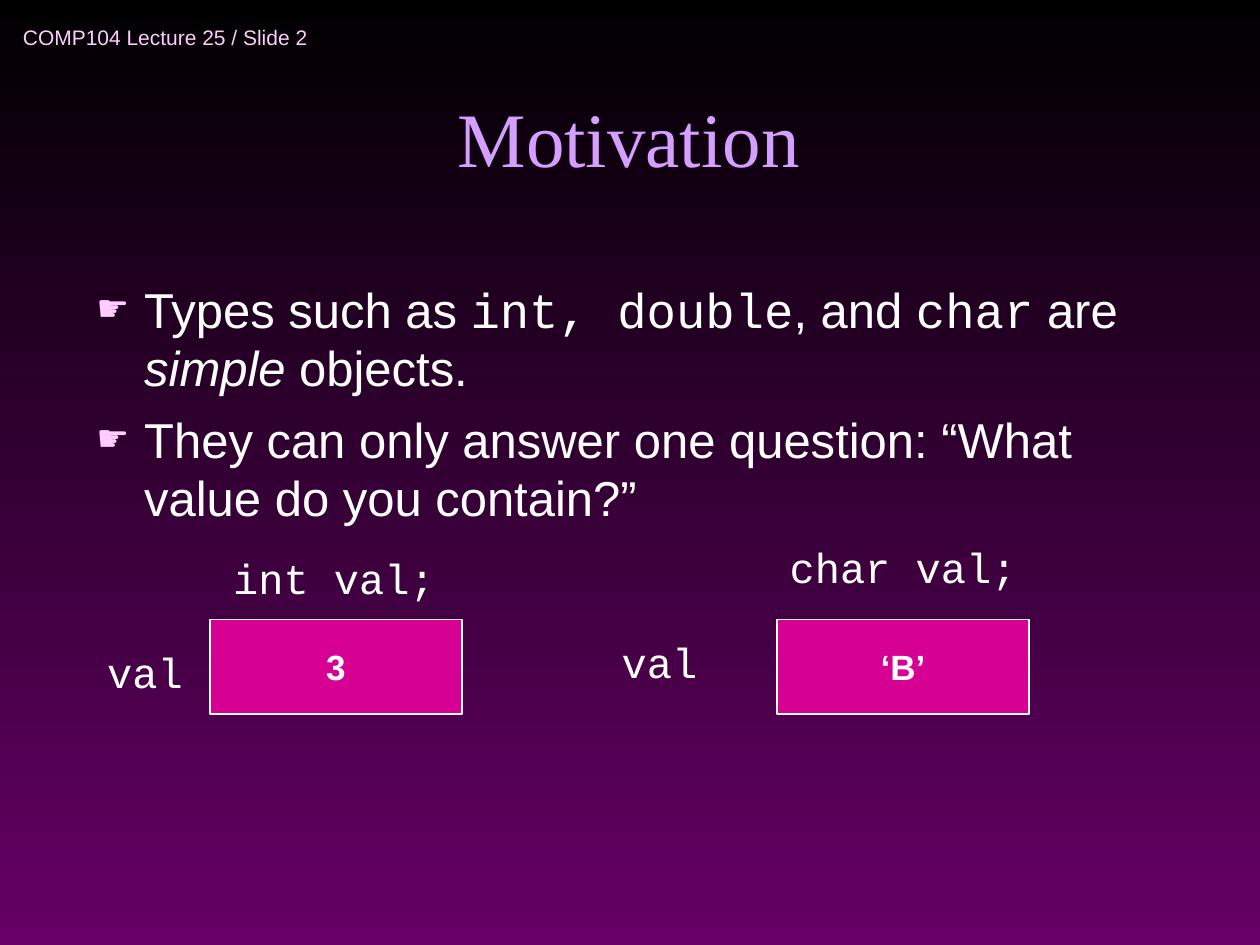
from lxml.etree import SubElement
from pptx import Presentation
from pptx.dml.color import RGBColor as Rgb
from pptx.enum.shapes import MSO_SHAPE as Shape
from pptx.enum.text import MSO_ANCHOR as Anchor, PP_ALIGN as Align
from pptx.oxml.ns import qn
from pptx.util import Inches, Pt

COLORS = {
    "sky": "000000", "ground": "660066", "title": "D49FFF",
    "accent": "FFCCFF", "text": "FFFFFF", "memory": "D60093",
}
SANS, CODE, SERIF = "Arial", "Courier New", "Times New Roman"
CELL = Inches(1) / 12
STATEMENTS = [
    [("Types such as ", SANS, False), ("int, double", CODE, False),
     (", and ", SANS, False), ("char", CODE, False), (" are ", SANS, False),
     ("simple", SANS, True), (" objects.", SANS, False)],
    [("They can only answer one question: “What value do you contain?”", SANS, False)],
]
VARIABLES = [
    {"value": "3", "box": (20, 59, 24, 9),
     "declaration": "int val;", "declared_at": (16.5, 52, 30.6, 6),
     "named_at": (4.5, 61, 18.6, 6)},
    {"value": "‘B’", "box": (74, 59, 24, 9),
     "declaration": "char val;", "declared_at": (69.5, 51, 33, 6),
     "named_at": (53.5, 60, 18.6, 6)},
]


def color(name):
    """Return the named colour of the slide."""
    return Rgb.from_string(COLORS[name])


def place(area):
    """Turn grid columns and rows into slide lengths."""
    return [round(count * CELL) for count in area]


def style(run, size, face, shade="text", bold=False, italic=False):
    """Format one run."""
    font = run.font
    font.size, font.name, font.bold, font.italic = Pt(size), face, bold, italic
    font.color.rgb = color(shade)


def write(frame, words, size, face, shade="text", align=Align.CENTER,
          anchor=Anchor.MIDDLE, wrap=False, bold=False):
    """Fill a frame with one formatted line."""
    frame.text = words
    frame.word_wrap, frame.vertical_anchor = wrap, anchor
    line = frame.paragraphs[0]
    line.alignment = align
    style(line.runs[0], size, face, shade, bold)


def add_label(slide, area, words, size, face, **look):
    """Add a line of text on the grid."""
    label = slide.shapes.add_textbox(*place(area))
    write(label.text_frame, words, size, face, **look)


def add_bullet(paragraph, hang):
    """Give a paragraph a pointing-hand bullet and a hanging indent."""
    props = paragraph._p.get_or_add_pPr()
    props.set("marL", str(hang))
    props.set("indent", str(-hang))
    tint = SubElement(props, qn("a:buClr"))
    SubElement(tint, qn("a:srgbClr"), val=COLORS["accent"])
    SubElement(props, qn("a:buSzPct"), val="75000")
    SubElement(props, qn("a:buFont"), typeface=SANS)
    SubElement(props, qn("a:buChar"), char="☛")


def add_statements(slide, area, statements):
    """Add the bulleted statements."""
    frame = slide.shapes.add_textbox(*place(area)).text_frame
    frame.word_wrap = True
    for index, pieces in enumerate(statements):
        statement = frame.paragraphs[0] if index == 0 else frame.add_paragraph()
        add_bullet(statement, Inches(0.38))
        statement.space_before = Pt(7 if index else 0)
        for words, face, italic in pieces:
            run = statement.add_run()
            run.text = words
            style(run, 28, face, italic=italic)


def add_memory_box(slide, area, value):
    """Add a box that holds the value of a variable."""
    memory = slide.shapes.add_shape(Shape.RECTANGLE, *place(area))
    memory.shadow.inherit = False
    memory.fill.solid()
    memory.fill.fore_color.rgb = color("memory")
    memory.line.color.rgb = color("text")
    memory.line.width = Pt(1)
    write(memory.text_frame, value, 20, SANS, bold=True)


def paint_background(slide):
    """Shade the background from top to bottom."""
    fill = slide.background.fill
    fill.gradient()
    fill.gradient_angle = 270
    for stop, position, name in zip(fill.gradient_stops, (0, 1), ("sky", "ground")):
        stop.position = position
        stop.color.rgb = color(name)


def main():
    """Build the slide and save it."""
    deck = Presentation()
    deck.slide_width, deck.slide_height = Inches(10), Inches(7.5)
    slide = deck.slides.add_slide(deck.slide_layouts[6])
    paint_background(slide)
    add_label(slide, (1, 1, 33, 5), "COMP104 Lecture 25 / Slide 2", 12, SANS,
              shade="accent", align=Align.LEFT)
    add_label(slide, (8.4, 3, 103, 15), "Motivation", 44, SERIF,
              shade="title", anchor=Anchor.BOTTOM, wrap=True)
    add_statements(slide, (8, 26, 103, 54), STATEMENTS)
    for variable in VARIABLES:
        add_memory_box(slide, variable["box"], variable["value"])
        add_label(slide, variable["declared_at"], variable["declaration"], 24, CODE)
        add_label(slide, variable["named_at"], "val", 24, CODE)
    deck.save("out.pptx")


if __name__ == "__main__":
    main()
